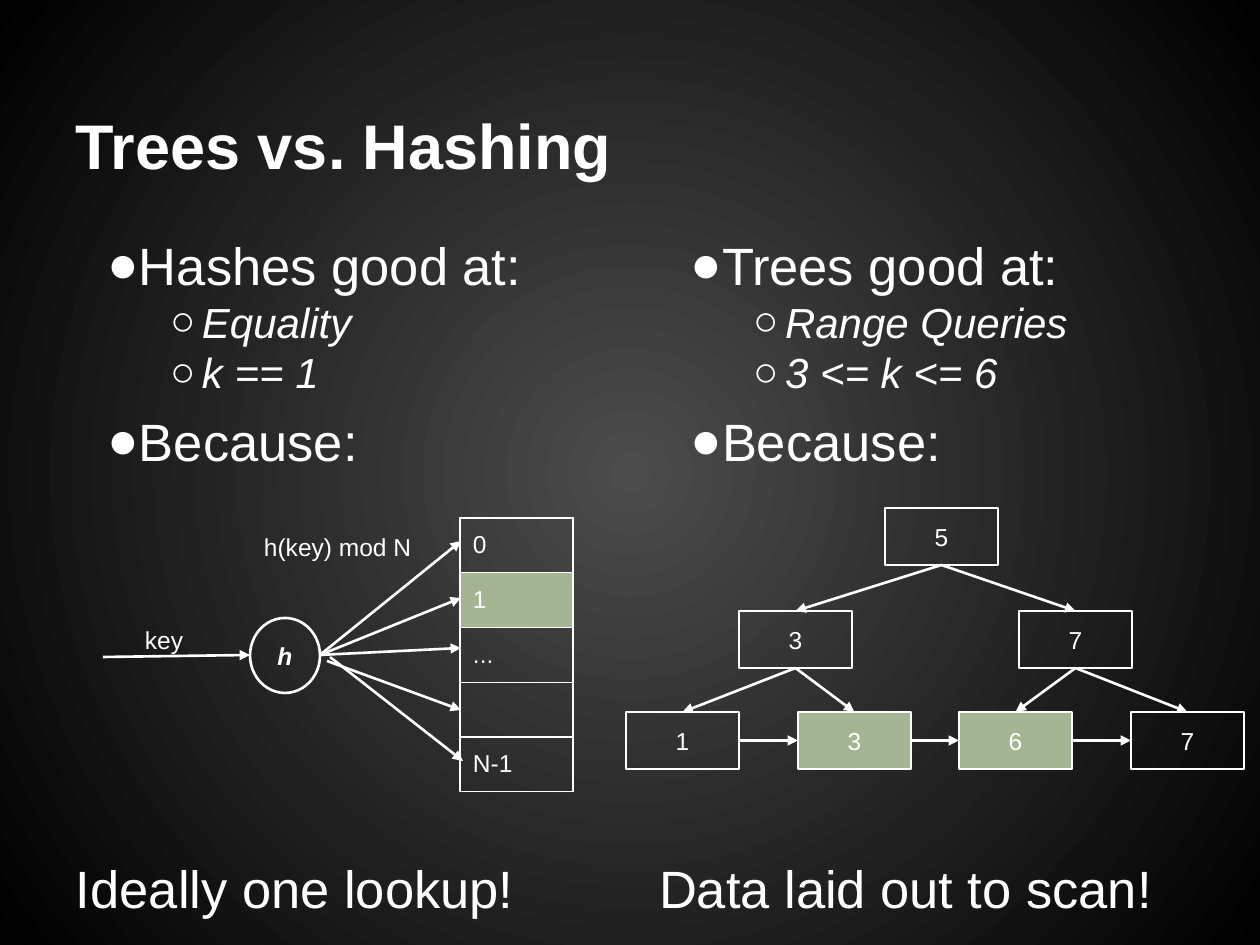
from itertools import pairwise
from lxml.etree import SubElement
from pptx import Presentation
from pptx.dml.color import RGBColor
from pptx.enum.shapes import MSO_CONNECTOR, MSO_SHAPE
from pptx.enum.text import MSO_ANCHOR, PP_ALIGN
from pptx.oxml.ns import qn
from pptx.util import Emu, Pt

EMU_PER_PX = 914400 / 126
WHITE = "FFFFFF"
GREEN = "A5B492"
INSET = 13
TOP, LEFT, BOTTOM, RIGHT = range(4)


def px(length):
    return Emu(round(length * EMU_PER_PX))


def color(value):
    return RGBColor.from_string(value)


def set_attributes(target, values):
    for name, value in values.items():
        setattr(target, name, value)


def paint_background(slide):
    fill = slide.background.fill
    fill.gradient()
    for stop, value in zip(fill.gradient_stops, ("4C4C4C", "000000")):
        stop.color.rgb = color(value)
    gradient = slide.background._cSld.find(".//" + qn("a:gradFill"))
    gradient.remove(gradient.find(qn("a:lin")))
    center = SubElement(gradient, qn("a:path"), {"path": "circle"})
    SubElement(center, qn("a:fillToRect"), {side: "50000" for side in "ltrb"})


def write(paragraph, text, size, **styles):
    run = paragraph.add_run()
    run.text = text
    set_attributes(run.font, {"size": Pt(size), "name": "Arial", **styles})
    run.font.color.rgb = color(WHITE)


def format_frame(frame, anchor):
    margins = {f"margin_{side}": px(INSET) for side in ("left", "right", "top", "bottom")}
    set_attributes(frame, {"word_wrap": True, "vertical_anchor": anchor, **margins})


def add_text(slide, box, text, size, anchor=MSO_ANCHOR.TOP, **styles):
    shape = slide.shapes.add_textbox(*map(px, box))
    format_frame(shape.text_frame, anchor)
    write(shape.text_frame.paragraphs[0], text, size, **styles)


def set_bullet(paragraph, level, character):
    paragraph.level = level
    properties = paragraph._p.get_or_add_pPr()
    properties.set("marL", str(px(63 * (level + 1))))
    properties.set("indent", str(-px(32)))
    bullet_color = SubElement(properties, qn("a:buClr"))
    SubElement(bullet_color, qn("a:srgbClr"), {"val": WHITE})
    SubElement(properties, qn("a:buFont"), {"typeface": "Arial"})
    SubElement(properties, qn("a:buChar"), {"char": character})


def add_bullets(slide, box, heading, examples, closing):
    frame = slide.shapes.add_textbox(*map(px, box)).text_frame
    format_frame(frame, MSO_ANCHOR.TOP)
    lines = [(heading, 0), *((example, 1) for example in examples), (closing, 0)]
    for index, (text, level) in enumerate(lines):
        paragraph = frame.add_paragraph() if index else frame.paragraphs[0]
        if text == closing:
            paragraph.space_before = Pt(7)
        set_bullet(paragraph, level, "○" if level else "●")
        write(paragraph, text, 24 if level else 30, italic=bool(level))


def add_node(slide, geometry, box, text, fill=None, **styles):
    shape = slide.shapes.add_shape(geometry, *map(px, box))
    shape.shadow.inherit = False
    if fill:
        shape.fill.solid()
        shape.fill.fore_color.rgb = color(fill)
    else:
        shape.fill.background()
    shape.line.color.rgb = color(WHITE)
    shape.line.width = Pt(1.5)
    format_frame(shape.text_frame, MSO_ANCHOR.MIDDLE)
    paragraph = shape.text_frame.paragraphs[0]
    paragraph.alignment = PP_ALIGN.CENTER
    write(paragraph, text, 14, **styles)
    return shape


def add_arrow(slide, start=(0, 0), end=(0, 0)):
    arrow = slide.shapes.add_connector(MSO_CONNECTOR.STRAIGHT, *map(px, (*start, *end)))
    arrow.line.color.rgb = color(WHITE)
    arrow.line.width = Pt(1.5)
    SubElement(arrow.line._get_or_add_ln(), qn("a:tailEnd"), {"type": "triangle"})
    SubElement(arrow._element.spPr, qn("a:effectLst"))
    return arrow


def join(slide, source, source_side, target, target_side):
    arrow = add_arrow(slide)
    arrow.begin_connect(source, source_side)
    arrow.end_connect(target, target_side)


def add_borders(cell):
    properties = cell._tc.get_or_add_tcPr()
    for side in ("lnL", "lnR", "lnT", "lnB"):
        border = SubElement(properties, qn(f"a:{side}"), {"w": str(Pt(0.75))})
        fill = SubElement(border, qn("a:solidFill"))
        SubElement(fill, qn("a:srgbClr"), {"val": WHITE})


def add_buckets(slide, box, labels, highlighted):
    table = slide.shapes.add_table(len(labels), 1, *map(px, box)).table
    set_attributes(table, {"first_row": False, "horz_banding": False})
    cell_format = {"margin_left": px(INSET), "margin_top": 0, "margin_bottom": 0,
                   "vertical_anchor": MSO_ANCHOR.MIDDLE}
    for row, label in enumerate(labels):
        cell = table.cell(row, 0)
        set_attributes(cell, cell_format)
        add_borders(cell)
        if label == highlighted:
            cell.fill.solid()
            cell.fill.fore_color.rgb = color(GREEN)
        else:
            cell.fill.background()
        if label:
            write(cell.text_frame.paragraphs[0], label, 14)


def add_hash_diagram(slide):
    add_buckets(slide, (460, 518, 113, 274), ["0", "1", "...", "", "N-1"], "1")
    add_node(slide, MSO_SHAPE.OVAL, (250, 618, 70, 75), "h", bold=True, italic=True)
    for end in ((461, 541), (461, 598), (461, 648)):
        add_arrow(slide, (320, 655), end)
    add_arrow(slide, (327, 661), (461, 710))
    add_arrow(slide, (330, 657), (463, 761))
    add_arrow(slide, (103, 657), (250, 655))
    add_text(slide, (132, 612, 98, 35), "key", 14)
    add_text(slide, (251, 519, 190, 35), "h(key) mod N", 14)


def add_tree_diagram(slide):
    levels = [(508, [(885, "5")]),
              (611, [(739, "3"), (1019, "7")]),
              (712, [(626, "1"), (798, "3"), (959, "6"), (1131, "7")])]
    highlighted = {(712, "3"), (712, "6")}
    nodes = [[add_node(slide, MSO_SHAPE.RECTANGLE, (left, top, 113, 57), key,
                       GREEN if (top, key) in highlighted else None)
              for left, key in level] for top, level in levels]
    for parents, children in pairwise(nodes):
        for index, child in enumerate(children):
            join(slide, parents[index // 2], BOTTOM, child, TOP)
    for leaf, following in pairwise(nodes[-1]):
        join(slide, leaf, RIGHT, following, LEFT)


def main():
    presentation = Presentation()
    set_attributes(presentation, {"slide_width": px(1260), "slide_height": px(945)})
    slide = presentation.slides.add_slide(presentation.slide_layouts[6])
    paint_background(slide)
    add_text(slide, (63, 38, 1134, 157), "Trees vs. Hashing", 36, MSO_ANCHOR.BOTTOM, bold=True)
    columns = [(63, "Hashes good at:", ["Equality", "k == 1"], "Ideally one lookup!"),
               (646, "Trees good at:", ["Range Queries", "3 <= k <= 6"], "Data laid out to scan!")]
    for left, heading, examples, conclusion in columns:
        add_bullets(slide, (left, 220, 551, 270), heading, examples, "Because:")
        add_text(slide, (left, 843, 551, 86), conclusion, 30)
    add_hash_diagram(slide)
    add_tree_diagram(slide)
    presentation.save("out.pptx")


if __name__ == "__main__":
    main()
